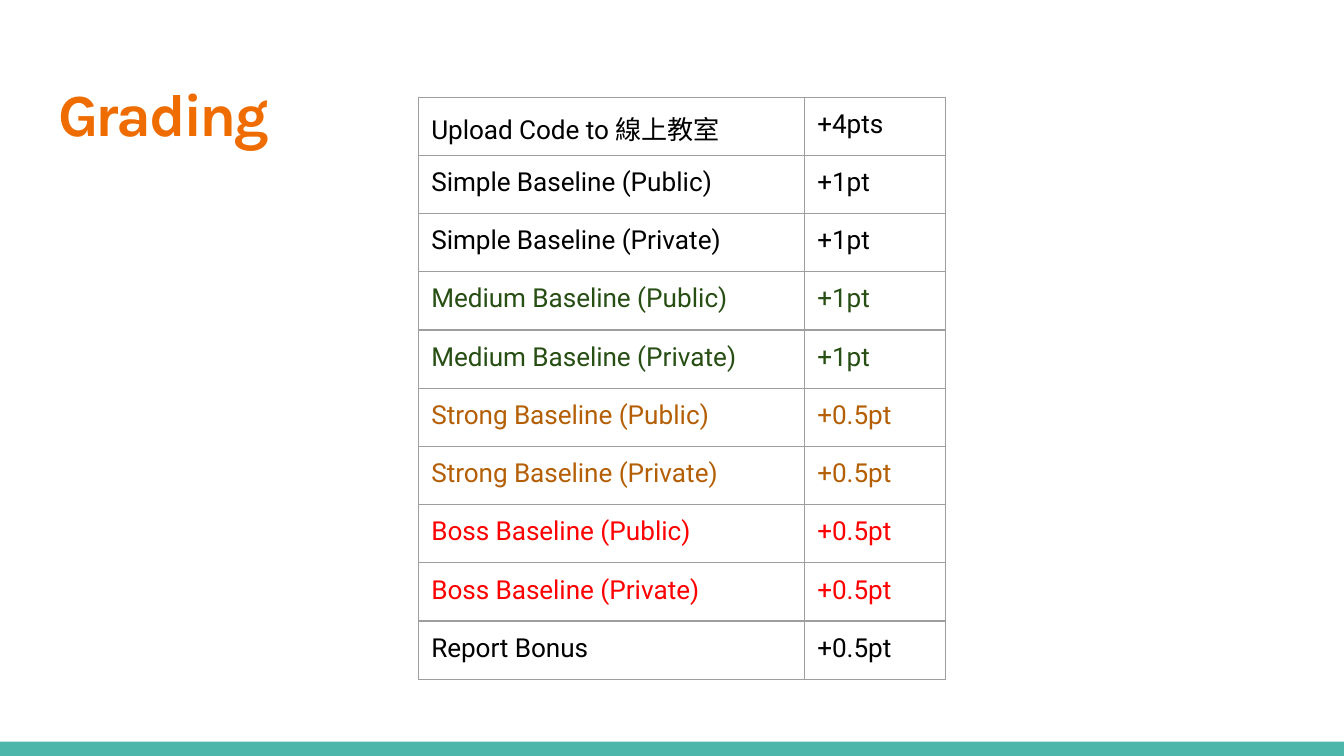
from lxml.etree import SubElement
from pptx import Presentation
from pptx.dml.color import RGBColor
from pptx.enum.shapes import MSO_SHAPE
from pptx.enum.text import MSO_ANCHOR, MSO_AUTO_SIZE, PP_ALIGN
from pptx.oxml.ns import qn
from pptx.util import Pt

COLORS = {
    "bar": "4DB6AB",
    "title": "EE6C00",
    "border": "9E9E9E",
    "plain": "000000",
    "medium": "274E13",
    "strong": "B45F06",
    "boss": "FF0000",
}
# Runs of the label, points, colour
GRADES = [
    (["Upload Code to 線上教室"], "+4pts", "plain"),
    (["Simple Baseline ", "(Public)"], "+1pt", "plain"),
    (["Simple Baseline ", "(Private)"], "+1pt", "plain"),
    (["Medium Baseline ", "(Public)"], "+1pt", "medium"),
    (["Medium Baseline ", "(Private)"], "+1pt", "medium"),
    (["Strong Baseline ", "(Public)"], "+0.5pt", "strong"),
    (["Strong Baseline ", "(Private)"], "+0.5pt", "strong"),
    (["Boss Baseline ", "(Public)"], "+0.5pt", "boss"),
    (["Boss Baseline ", "(Private)"], "+0.5pt", "boss"),
    (["Report Bonus"], "+0.5pt", "plain"),
]
ROW_HEIGHT = 31.2
COLUMN_WIDTHS = [206.8, 75.4]


def add_run(para, text, font_name, size, color, spacing):
    """Add a run; spacing is in hundredths of a point between letters."""
    span = para.add_run()
    span.text = text
    span.font.name = font_name
    span.font.size = Pt(size)
    span.font.color.rgb = RGBColor.from_string(COLORS[color])
    span.font._element.set("spc", str(spacing))
    return span


def add_borders(cell):
    properties = cell._tc.get_or_add_tcPr()
    for index, side in enumerate(["lnL", "lnR", "lnT", "lnB"]):
        line = SubElement(properties, qn(f"a:{side}"), w=str(Pt(0.75)))
        fill = SubElement(line, qn("a:solidFill"))
        SubElement(fill, qn("a:srgbClr"), val=COLORS["border"])
        properties.remove(line)
        properties.insert(index, line)


deck = Presentation()
deck.slide_width = Pt(720)
deck.slide_height = Pt(405)
page = deck.slides.add_slide(deck.slide_layouts[5])

bar = page.shapes.add_shape(MSO_SHAPE.RECTANGLE, 0, Pt(397.4), Pt(720), Pt(7.6))
bar.shadow.inherit = False
bar.fill.solid()
bar.fill.fore_color.rgb = RGBColor.from_string(COLORS["bar"])
bar.line.fill.background()

title = page.shapes.title
title.left, title.top, title.width, title.height = Pt(30.2), Pt(39.6), Pt(180), Pt(40.3)
frame = title.text_frame
frame.margin_left = Pt(1)
frame.margin_top = Pt(1.4)
frame.margin_right = frame.margin_bottom = 0
frame.vertical_anchor = MSO_ANCHOR.TOP
frame.auto_size = MSO_AUTO_SIZE.NONE
para = frame.paragraphs[0]
para.alignment = PP_ALIGN.LEFT
add_run(para, "Grading", "Karla", 32, "title", -145).font.bold = True

grid = page.shapes.add_table(
    len(GRADES), len(COLUMN_WIDTHS), Pt(224.3), Pt(52.1),
    Pt(sum(COLUMN_WIDTHS)), Pt(ROW_HEIGHT * len(GRADES)),
)
table = grid.table
table.first_row = False
table.horz_banding = False
for column, width in zip(table.columns, COLUMN_WIDTHS):
    column.width = Pt(width)

for row, (label, points, color) in zip(table.rows, GRADES):
    row.height = Pt(ROW_HEIGHT)
    for cell, texts in zip(row.cells, [label, [points]]):
        cell.margin_left = Pt(6.8)
        cell.margin_top = Pt(6.3)
        cell.margin_right = cell.margin_bottom = 0
        cell.fill.background()
        add_borders(cell)
        for text in texts:
            spacing = 0 if text.startswith("(") else -5
            add_run(cell.text_frame.paragraphs[0], text, "Roboto", 14, color, spacing)

deck.save("out.pptx")
